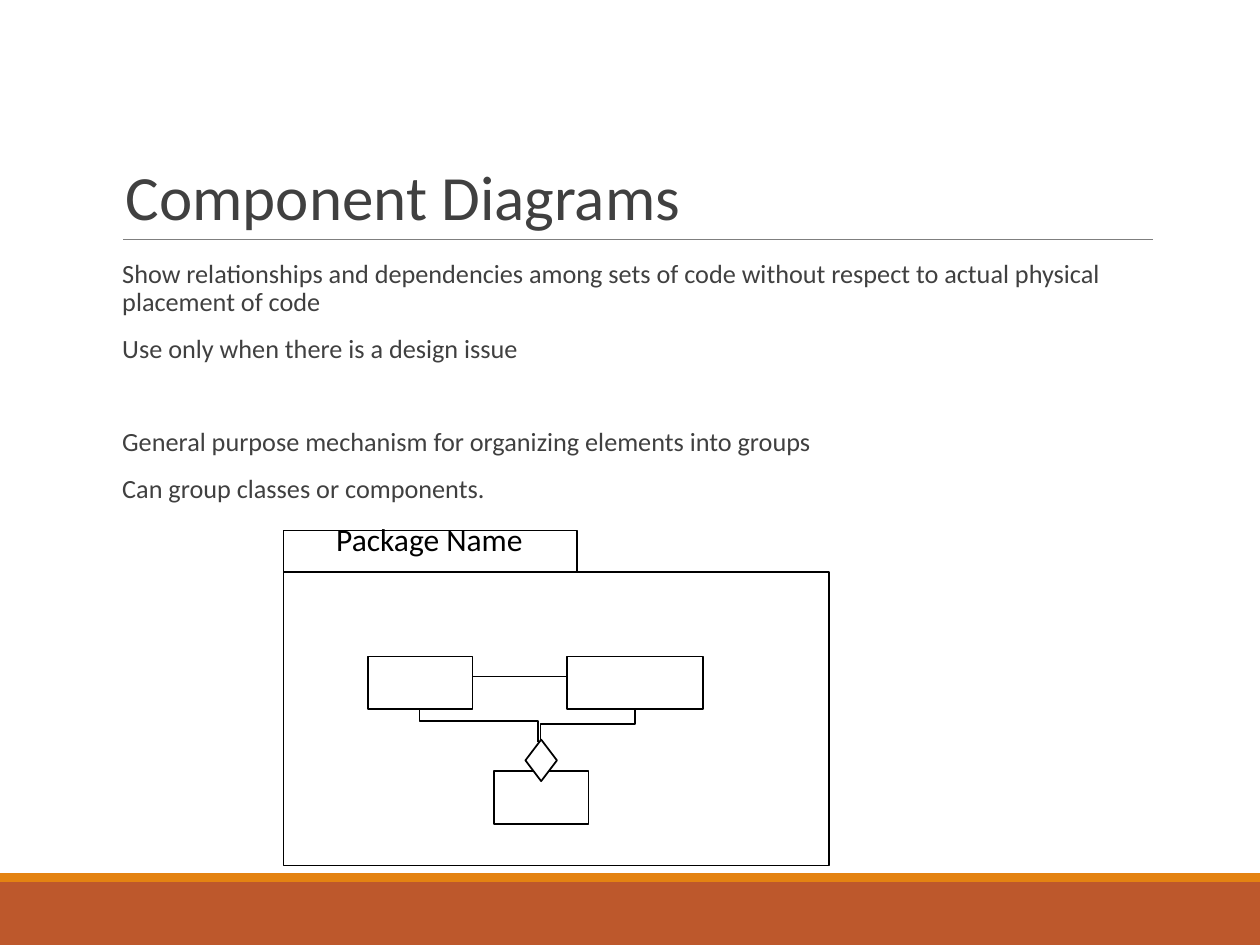
from lxml.etree import SubElement
from pptx import Presentation
from pptx.dml.color import RGBColor
from pptx.enum.shapes import MSO_CONNECTOR, MSO_SHAPE
from pptx.enum.text import MSO_ANCHOR
from pptx.oxml.ns import qn
from pptx.util import Inches, Pt

COLORS = {
    "footer": "BD582C",
    "stripe": "E48312",
    "rule": "7F7F7F",
    "text": "404040",
    "ink": "000000",
    "paper": "FFFFFF",
}

# Text and space before in points; the wide gap separates the two topics.
BODY = [
    ("Show relationships and dependencies among sets of code without respect "
     "to actual physical placement of code", 0),
    ("Use only when there is a design issue", 9),
    ("General purpose mechanism for organizing elements into groups", 35.5),
    ("Can group classes or components.", 9),
]


def color(name):
    return RGBColor.from_string(COLORS[name])


def set_values(target, values):
    for name, value in values.items():
        setattr(target, name, value)


def add_block(slide, box, fill="paper", line="ink", kind=MSO_SHAPE.RECTANGLE):
    shape = slide.shapes.add_shape(kind, *map(Inches, box))
    shape.shadow.inherit = False
    shape.fill.solid()
    shape.fill.fore_color.rgb = color(fill)
    if line:
        shape.line.color.rgb = color(line)
        shape.line.width = Pt(1)
    else:
        shape.line.fill.background()


def add_text(slide, box, paragraphs, size, ink="text", line_spacing=None, **frame_format):
    frame = slide.shapes.add_textbox(*map(Inches, box)).text_frame
    set_values(frame, {"word_wrap": True, **frame_format})
    for index, (text, space_before) in enumerate(paragraphs):
        paragraph = frame.paragraphs[0] if index == 0 else frame.add_paragraph()
        paragraph.text = text
        set_values(paragraph, {
            "line_spacing": line_spacing,
            "space_before": Pt(space_before),
            "space_after": Pt(1.5),
        })
        set_values(paragraph.font, {"name": "Calibri", "size": Pt(size)})
        paragraph.font.color.rgb = color(ink)


def add_line(slide, start, end, ink="ink", width=1, kind=MSO_CONNECTOR.STRAIGHT):
    connector = slide.shapes.add_connector(kind, *map(Inches, (*start, *end)))
    connector.line.color.rgb = color(ink)
    connector.line.width = Pt(width)
    SubElement(connector._element.spPr, qn("a:effectLst"))
    return connector


def add_vertical_elbow(slide, start, end, bend=0.5):
    """Draw an elbow that leaves and arrives vertically: a quarter-turned connector."""
    center_x, center_y = (start[0] + end[0]) / 2, (start[1] + end[1]) / 2
    dx, dy = start[0] - center_x, start[1] - center_y
    connector = add_line(slide, (center_x + dy, center_y - dx),
                         (center_x - dy, center_y + dx), kind=MSO_CONNECTOR.ELBOW)
    properties = connector._element.spPr
    properties.find(qn("a:xfrm")).set("rot", str(90 * 60000))
    adjustments = properties.find(qn("a:prstGeom")).find(qn("a:avLst"))
    SubElement(adjustments, qn("a:gd"), name="adj1", fmla=f"val {round(bend * 100000)}")


def add_package(slide):
    add_block(slide, (2.25, 4.54, 4.33, 2.33))
    add_block(slide, (2.25, 4.21, 2.33, 0.33))
    add_text(slide, (2.57, 4.08, 1.69, 0.4), [("Package Name", 0)], 18, "ink",
             word_wrap=False)
    for left, top, width in [(2.92, 5.21, 0.83), (4.5, 5.21, 1.08), (3.92, 6.12, 0.75)]:
        add_block(slide, (left, top, width, 0.42))
    add_line(slide, (3.75, 5.37), (4.5, 5.37))
    add_vertical_elbow(slide, (3.33, 5.62), (4.27, 5.89), 0.38)
    add_block(slide, (4.17, 5.87, 0.25, 0.33), kind=MSO_SHAPE.DIAMOND)
    add_vertical_elbow(slide, (4.29, 5.87), (5.04, 5.62))


def main():
    presentation = Presentation()
    set_values(presentation, {"slide_width": Inches(10), "slide_height": Inches(7.5)})
    slide = presentation.slides.add_slide(presentation.slide_layouts[6])

    add_block(slide, (0, 7, 10, 0.5), "footer", None)
    add_block(slide, (0, 6.93, 10, 0.07), "stripe", None)
    add_line(slide, (0.98, 1.9), (9.15, 1.9), "rule", 0.5)
    add_text(slide, (0.9, 0.31, 8.25, 1.59), [("Component Diagrams", 0)], 36,
             line_spacing=0.85, vertical_anchor=MSO_ANCHOR.BOTTOM)
    add_text(slide, (0.9, 2.02, 8.25, 4.4), BODY, 15, line_spacing=0.9,
             margin_left=Inches(0.07), margin_right=0)
    add_package(slide)

    presentation.save("out.pptx")


if __name__ == "__main__":
    main()
